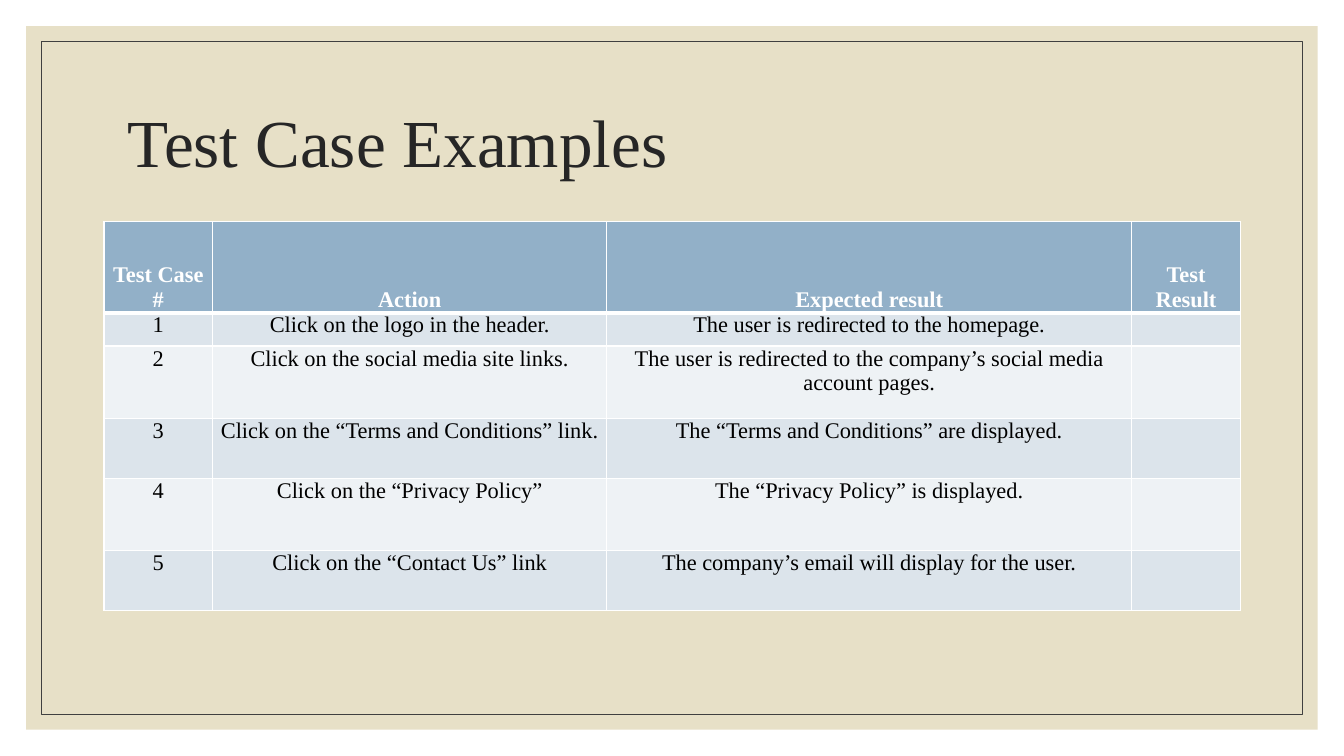
"""Build the slide that lists test case examples in a table."""
from dataclasses import dataclass

from lxml import etree
from pptx import Presentation
from pptx.dml.color import RGBColor
from pptx.enum.shapes import MSO_SHAPE
from pptx.enum.text import MSO_ANCHOR, PP_ALIGN
from pptx.oxml.ns import qn
from pptx.util import Cm, Pt

RECTANGLE = MSO_SHAPE.RECTANGLE
TOP, MIDDLE, BOTTOM = MSO_ANCHOR.TOP, MSO_ANCHOR.MIDDLE, MSO_ANCHOR.BOTTOM
LEFT, CENTER = PP_ALIGN.LEFT, PP_ALIGN.CENTER

TITLE = "Test Case Examples"
HEADER = ("Test Case #", "Action", "Expected result", "Test Result")
CASES = [
    ("Click on the logo in the header.", "The user is redirected to the homepage."),
    ("Click on the social media site links.",
     "The user is redirected to the company’s social media account pages."),
    ("Click on the “Terms and Conditions” link.",
     "The “Terms and Conditions” are displayed."),
    ("Click on the “Privacy Policy”", "The “Privacy Policy” is displayed."),
    ("Click on the “Contact Us” link", "The company’s email will display for the user."),
]

PAGE_SIZE = (33.87, 19.05)
PANEL_MARGIN, FRAME_MARGIN = 0.66, 1.04
TITLE_AREA = (2.97, 1.78, 27.94, 3.81)
TABLE_CORNER = (2.62, 5.59)
COLUMN_WIDTHS = (2.74, 9.93, 13.23, 2.74)
ROW_HEIGHTS = (2.29, 0.84, 1.83, 1.5, 1.83, 1.5)
CELL_INSET = 0.18


@dataclass(frozen=True)
class Theme:
    font: str = "Times New Roman"
    title_size: int = 48
    table_size: int = 16
    panel: str = "E7E0C7"
    frame: str = "404040"
    title: str = "262626"
    header: str = "92B0C8"
    bands: tuple = ("DCE4EB", "EEF2F5")
    light: str = "FFFFFF"
    dark: str = "000000"
    frame_line: float = 0.5
    grid_line: int = 1
    header_line: int = 3


THEME = Theme()


def color(value):
    return RGBColor.from_string(value)


def add_rectangle(page, margin):
    width, height = (Cm(side - 2 * margin) for side in PAGE_SIZE)
    box = page.shapes.add_shape(RECTANGLE, Cm(margin), Cm(margin), width, height)
    box.shadow.inherit = False
    return box


def add_background(page):
    panel = add_rectangle(page, PANEL_MARGIN)
    panel.fill.solid()
    panel.fill.fore_color.rgb = color(THEME.panel)
    panel.line.fill.background()
    frame = add_rectangle(page, FRAME_MARGIN)
    frame.fill.background()
    frame.line.color.rgb = color(THEME.frame)
    frame.line.width = Pt(THEME.frame_line)


def write(para, text, size, ink, align, bold=False):
    para.alignment = align
    span = para.add_run()
    span.text = text
    span.font.name = THEME.font
    span.font.size = Pt(size)
    span.font.bold = bold
    span.font.color.rgb = color(ink)


def add_title(page):
    box = page.shapes.add_textbox(*map(Cm, TITLE_AREA))
    box.text_frame.word_wrap = True
    box.text_frame.vertical_anchor = MIDDLE
    para = box.text_frame.paragraphs[0]
    para.line_spacing = 0.9
    write(para, TITLE, THEME.title_size, THEME.title, LEFT)


def set_borders(cell, top, bottom):
    properties = cell._tc.get_or_add_tcPr()
    widths = {"a:lnL": THEME.grid_line, "a:lnR": THEME.grid_line,
              "a:lnT": top, "a:lnB": bottom}
    for place, (tag, width) in enumerate(widths.items()):
        line = etree.Element(qn(tag), w=str(Pt(width)))
        fill = etree.SubElement(line, qn("a:solidFill"))
        etree.SubElement(fill, qn("a:srgbClr"), val=THEME.light)
        properties.insert(place, line)


def fill_cell(cell, text, row):
    is_header = row == 0
    cell.margin_left = cell.margin_right = Cm(CELL_INSET)
    cell.margin_top = cell.margin_bottom = 0
    cell.vertical_anchor = BOTTOM if is_header else TOP
    cell.fill.solid()
    shade = THEME.header if is_header else THEME.bands[(row - 1) % 2]
    cell.fill.fore_color.rgb = color(shade)
    set_borders(cell,
                THEME.header_line if row == 1 else THEME.grid_line,
                THEME.header_line if is_header else THEME.grid_line)
    if text:
        write(cell.text_frame.paragraphs[0], text, THEME.table_size,
              THEME.light if is_header else THEME.dark, CENTER, is_header)


def add_case_table(page):
    rows = [HEADER] + [(str(number), *case, "") for number, case in enumerate(CASES, 1)]
    size = (sum(COLUMN_WIDTHS), sum(ROW_HEIGHTS))
    table = page.shapes.add_table(len(rows), len(HEADER),
                                  *map(Cm, TABLE_CORNER + size)).table
    for column, width in zip(table.columns, COLUMN_WIDTHS):
        column.width = Cm(width)
    for table_row, height in zip(table.rows, ROW_HEIGHTS):
        table_row.height = Cm(height)
    for row, texts in enumerate(rows):
        for column, text in enumerate(texts):
            fill_cell(table.cell(row, column), text, row)


def main():
    deck = Presentation()
    deck.slide_width, deck.slide_height = map(Cm, PAGE_SIZE)
    page = deck.slides.add_slide(deck.slide_layouts[6])
    add_background(page)
    add_title(page)
    add_case_table(page)
    deck.save("out.pptx")


if __name__ == "__main__":
    main()
